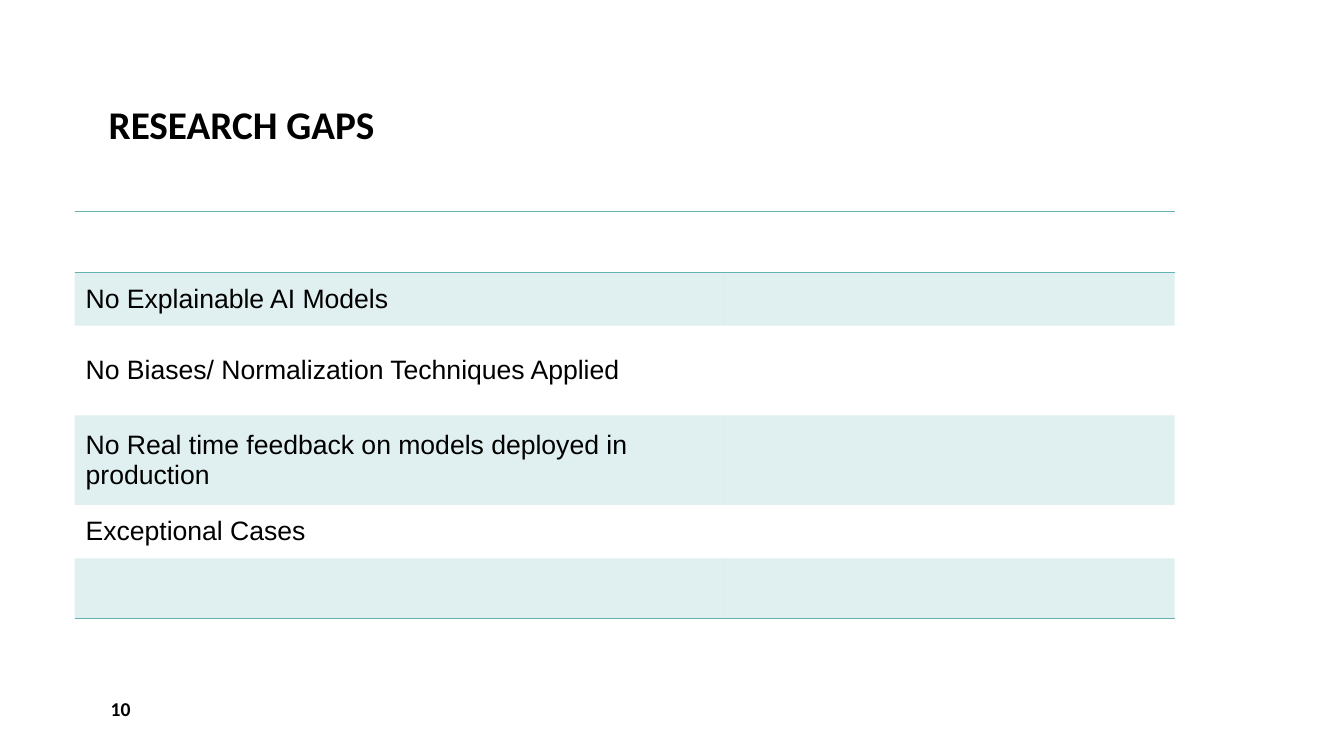
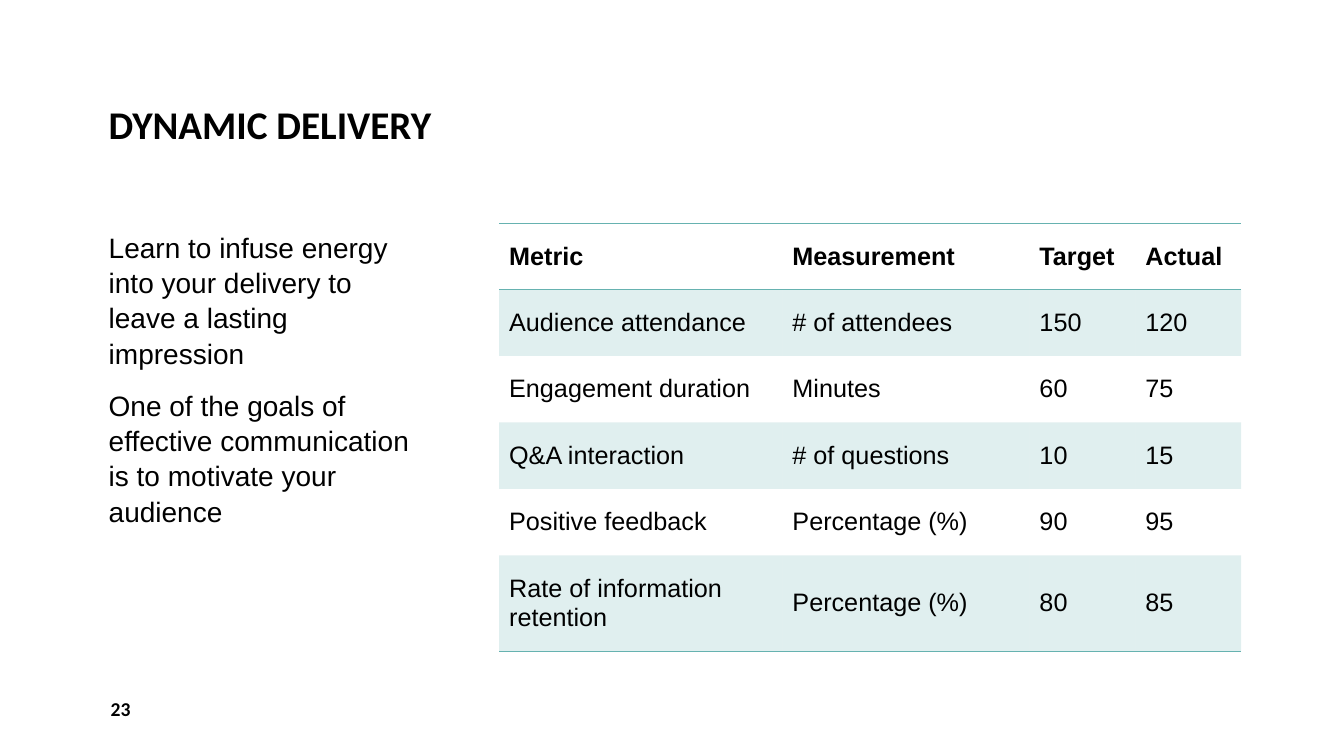
from lxml.etree import SubElement
from pptx import Presentation
from pptx.dml.color import RGBColor as RGB
from pptx.enum.text import MSO_ANCHOR as Anchor
from pptx.oxml.ns import qn
from pptx.util import Inches, Pt

# Content
DECK = [
    {
        "title": "RESEARCH GAPS",
        "page": "10",
        "body": [],
        "table": {
            "at": (0.74, 2.1),
            "columns": [6.44, 1.49, 1.49, 1.49],
            "heights": [0.6, 0.53, 0.89, 0.89, 0.53, 0.6],
            "size": "gap",
            "inset": 0.11,
            "rows": [
                [],
                ["No Explainable AI Models"],
                ["No Biases/ Normalization Techniques Applied"],
                ["No Real time feedback on models deployed in production"],
                ["Exceptional Cases"],
                [],
            ],
        },
    },
    {
        "title": "DYNAMIC DELIVERY",
        "page": "23",
        "body": [
            "Learn to infuse energy into your delivery to leave a lasting impression",
            "One of the goals of effective communication is to motivate your audience",
        ],
        "table": {
            "at": (4.95, 2.22),
            "columns": [2.81, 2.45, 1.05, 1.05],
            "heights": [0.65] + [0.66] * 4 + [0.95],
            "size": "metric",
            "inset": 0.1,
            "rows": [
                ["Metric", "Measurement", "Target", "Actual"],
                ["Audience attendance", "# of attendees", "150", "120"],
                ["Engagement duration", "Minutes", "60", "75"],
                ["Q&A interaction", "# of questions", "10", "15"],
                ["Positive feedback", "Percentage (%)", "90", "95"],
                ["Rate of information retention", "Percentage (%)", "80", "85"],
            ],
        },
    },
]

# Theme
THEME = {
    "ink": RGB.from_string("000000"),
    "accent": "66B2B0",
    "band_alpha": 20,
    "rule": 1,
    "heading_font": "Calibri",
    "body_font": "Arial",
    "size": {"title": 28, "body": 20, "gap": 19, "metric": 18, "page": 14},
    "plain_table": "{2D5ABB26-0587-4C30-8999-92F81FD0307C}",
}

# Text roles: place, anchor, font, weight and paragraph format
ROLES = {
    "title": {"at": (0.98, 0.15, 6.75, 1.37), "anchor": Anchor.BOTTOM,
              "font": "heading_font", "bold": True,
              "paragraph": {"line_spacing": 0.9}},
    "body": {"at": (0.98, 2.22, 3.3, 4.27), "anchor": Anchor.TOP,
             "font": "body_font", "bold": False,
             "paragraph": {"line_spacing": 1.05, "space_after": Pt(12)}},
    "page": {"at": (1, 6.83, 1.3, 0.4), "anchor": Anchor.MIDDLE,
             "font": "heading_font", "bold": True, "paragraph": {}},
}


def apply(target, values):
    for name, value in values.items():
        setattr(target, name, value)


def style_font(font, family, size, bold):
    apply(font, {"name": THEME[family], "size": Pt(THEME["size"][size]), "bold": bold})
    font.color.rgb = THEME["ink"]


def add_text(slide, role, lines):
    look = ROLES[role]
    frame = slide.shapes.add_textbox(*map(Inches, look["at"])).text_frame
    apply(frame, {"word_wrap": True, "vertical_anchor": look["anchor"]})
    frame.text = "\n".join(lines)
    for paragraph in frame.paragraphs:
        apply(paragraph, look["paragraph"])
        style_font(paragraph.runs[0].font, look["font"], role, look["bold"])


def add_accent(parent, alpha=100):
    color = SubElement(SubElement(parent, qn("a:solidFill")), qn("a:srgbClr"),
                       val=THEME["accent"])
    if alpha < 100:
        SubElement(color, qn("a:alpha"), val=str(alpha * 1000))


def decorate(cell_props, edges, banded):
    """Borders come before the fill in a cell's properties."""
    for edge in edges:
        line = SubElement(cell_props, qn(f"a:ln{edge}"), w=str(Pt(THEME["rule"])))
        add_accent(line)
    if banded:
        add_accent(cell_props, THEME["band_alpha"])
    else:
        SubElement(cell_props, qn("a:noFill"))


def add_grid(slide, grid):
    columns, heights = grid["columns"], grid["heights"]
    frame = slide.shapes.add_table(
        len(heights), len(columns), *map(Inches, grid["at"]),
        Inches(sum(columns)), Inches(sum(heights)))
    table = frame.table
    apply(table, {"first_row": False, "horz_banding": False})
    next(frame.element.iter(qn("a:tableStyleId"))).text = THEME["plain_table"]
    for column, width in zip(table.columns, columns):
        column.width = Inches(width)
    for row, height in zip(table.rows, heights):
        row.height = Inches(height)

    # Cell text
    for r, texts in enumerate(grid["rows"]):
        for c, text in enumerate(texts):
            cell = table.cell(r, c)
            cell.text = text
            apply(cell, {"margin_left": Inches(grid["inset"]),
                         "margin_right": Inches(grid["inset"])})
            style_font(cell.text_frame.paragraphs[0].runs[0].font,
                       "body_font", grid["size"], r == 0)

    # Header rules, closing rule and a tint on every second row
    edges = {0: "TB", len(heights) - 1: "B"}
    for r, row in enumerate(table.rows):
        for cell in row.cells:
            cell.vertical_anchor = Anchor.MIDDLE
    for r, row in enumerate(frame.element.iter(qn("a:tr"))):
        for cell_props in row.iter(qn("a:tcPr")):
            decorate(cell_props, edges.get(r, ""), r % 2 == 1)


def main():
    deck = Presentation()
    apply(deck, {"slide_width": Inches(13.33), "slide_height": Inches(7.5)})
    for content in DECK:
        slide = deck.slides.add_slide(deck.slide_layouts[6])
        add_text(slide, "title", [content["title"]])
        if content["body"]:
            add_text(slide, "body", content["body"])
        add_grid(slide, content["table"])
        add_text(slide, "page", [content["page"]])
    deck.save("out.pptx")


if __name__ == "__main__":
    main()
